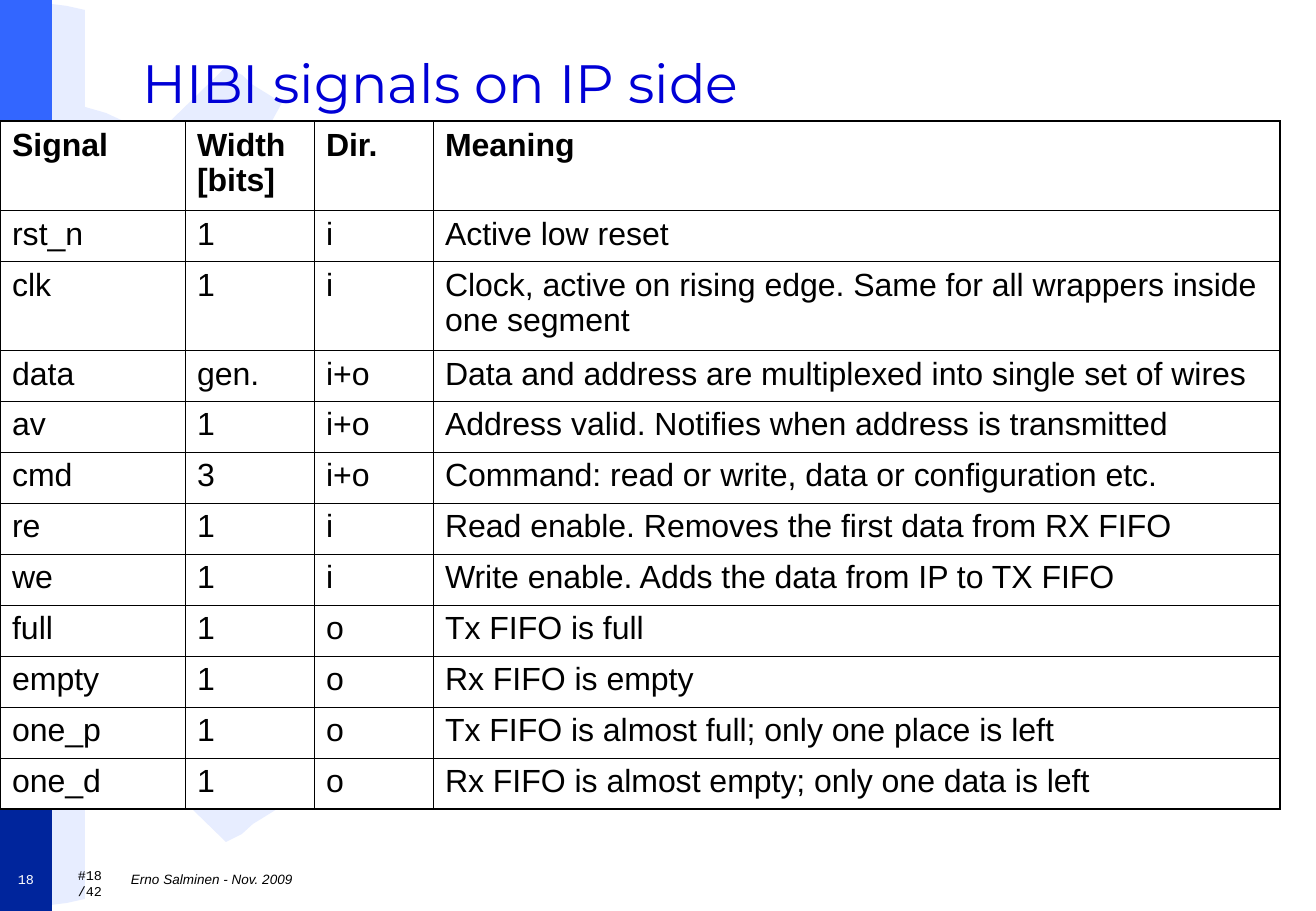
"""Build the slide that lists the HIBI signals on the IP side."""
from dataclasses import dataclass
from typing import NamedTuple, Optional

import pptx
import pptx.dml.color
import pptx.enum.shapes
import pptx.enum.text
import pptx.oxml
import pptx.oxml.ns
import pptx.presentation
import pptx.shapes.autoshape
import pptx.slide
import pptx.table
import pptx.text.text
import pptx.util

EMU_PER_PX = 7532
ANCHOR = pptx.enum.text.MSO_ANCHOR
ALIGN = pptx.enum.text.PP_ALIGN


@dataclass(frozen=True)
class Theme:
    """Colours, fonts and sizes in points."""
    gear: str = "E7EDFF"
    bar_top: str = "3366FF"
    bar_middle: str = "003CFC"
    bar_bottom: str = "00259C"
    title: str = "0000D6"
    ink: str = "000000"
    paper: str = "FFFFFF"
    title_font: str = "Montserrat"
    body_font: str = "Arial"
    number_font: str = "Courier New"
    title_size: int = 32
    table_size: int = 19
    footer_size: int = 8
    outer_border: float = 1.08
    inner_border: float = 0.45


THEME = Theme()


class Box(NamedTuple):
    """Position and size in px."""
    left: int
    top: int
    width: int
    height: int


class Bar(NamedTuple):
    """Coloured part of the left edge."""
    box: Box
    color: str


class Label(NamedTuple):
    """Small text at the foot of the slide."""
    box: Box
    text: str
    font: str
    color: str
    align: ALIGN
    italic: bool
    wrap: bool


class Signal(NamedTuple):
    """Row of the signal table."""
    name: str
    width: str
    direction: str
    meaning: str
    height: int = 51


SLIDE_SIZE = (1316, 911)
TITLE_BOX = Box(130, 44, 1150, 76)
TABLE_CORNER = (0, 121)
COLUMN_WIDTHS = (185, 129, 119, 847)
TALL_ROW = 89
GEAR_HEIGHT = 909
GEAR_UPPER_HALF = (
    (0, 363), (210, 363), (203, 347), (194, 335), (188, 320), (178, 307), (169, 294),
    (158, 284), (144, 274), (135, 262), (121, 254), (108, 244), (95, 238), (79, 232),
    (66, 226), (51, 220), (34, 219), (17, 214), (17, 0), (35, 1), (51, 4), (67, 6),
    (85, 10), (85, 107), (106, 113), (121, 120), (138, 126), (155, 136), (226, 67),
    (242, 75), (253, 85), (266, 93), (282, 103), (233, 191), (250, 205), (261, 219),
    (273, 233), (287, 249), (381, 219), (388, 233), (397, 248), (404, 260), (410, 276),
    (331, 331), (334, 353), (341, 370), (344, 388), (347, 405), (446, 421), (449, 436),
)
BARS = (
    Bar(Box(0, 0, 52, 370), THEME.bar_top),
    Bar(Box(0, 541, 52, 370), THEME.bar_bottom),
    Bar(Box(0, 363, 52, 181), THEME.bar_middle),
)
PAGE_LABELS = (
    Label(Box(64, 867, 52, 32), "#18/42", THEME.number_font, THEME.ink, ALIGN.CENTER, False, False),
    Label(Box(0, 863, 52, 32), "18", THEME.number_font, THEME.paper, ALIGN.CENTER, False, False),
)
AUTHOR_LABEL = Label(Box(119, 863, 1140, 32), "Erno Salminen - Nov. 2009",
                     THEME.body_font, THEME.ink, ALIGN.LEFT, True, True)
SIGNALS = (
    Signal("Signal", "Width [bits]", "Dir.", "Meaning", TALL_ROW),
    Signal("rst_n", "1", "i", "Active low reset"),
    Signal("clk", "1", "i",
           "Clock, active on rising edge. Same for all wrappers inside one segment", TALL_ROW),
    Signal("data", "gen.", "i+o", "Data and address are multiplexed into single set of wires"),
    Signal("av", "1", "i+o", "Address valid. Notifies when address is transmitted"),
    Signal("cmd", "3", "i+o", "Command: read or write, data or configuration etc."),
    Signal("re", "1", "i", "Read enable. Removes the first data from RX FIFO"),
    Signal("we", "1", "i", "Write enable. Adds the data from IP to TX FIFO"),
    Signal("full", "1", "o", "Tx FIFO is full"),
    Signal("empty", "1", "o", "Rx FIFO is empty"),
    Signal("one_p", "1", "o", "Tx FIFO is almost full; only one place is left"),
    Signal("one_d", "1", "o", "Rx FIFO is almost empty; only one data is left"),
)


def px(length: int) -> pptx.util.Emu:
    """Turn px into EMU."""
    return pptx.util.Emu(length * EMU_PER_PX)


def rgb(color: str) -> pptx.dml.color.RGBColor:
    """Turn a hex string into a colour."""
    return pptx.dml.color.RGBColor.from_string(color)


def write_text(frame: pptx.text.text.TextFrame, text: str, *, size: int, font: str, color: str,
               bold: bool = False, italic: bool = False, align: ALIGN = ALIGN.LEFT,
               anchor: Optional[ANCHOR] = None, wrap: bool = True) -> None:
    """Fill a text frame with one formatted paragraph."""
    frame.word_wrap = wrap
    frame.vertical_anchor = anchor
    paragraph = frame.paragraphs[0]
    paragraph.alignment = align
    run = paragraph.add_run()
    run.text = text
    run.font.size = pptx.util.Pt(size)
    run.font.name = font
    run.font.bold = bold
    run.font.italic = italic
    run.font.color.rgb = rgb(color)


def paint(shape: pptx.shapes.autoshape.Shape, color: str) -> None:
    """Give a shape a plain fill without line or shadow."""
    shape.shadow.inherit = False
    shape.fill.solid()
    shape.fill.fore_color.rgb = rgb(color)
    shape.line.fill.background()


def draw_gear(slide: pptx.slide.Slide) -> None:
    """Draw the gear from its upper half and the mirrored lower half."""
    lower_half = [(x, GEAR_HEIGHT - y) for x, y in reversed(GEAR_UPPER_HALF)]
    builder = slide.shapes.build_freeform(*GEAR_UPPER_HALF[0], scale=float(EMU_PER_PX))
    builder.add_line_segments([*GEAR_UPPER_HALF[1:], *lower_half], close=True)
    paint(builder.convert_to_shape(), THEME.gear)


def draw_bar(slide: pptx.slide.Slide, bar: Bar) -> None:
    """Draw one part of the left edge."""
    rectangle = pptx.enum.shapes.MSO_SHAPE.RECTANGLE
    paint(slide.shapes.add_shape(rectangle, *map(px, bar.box)), bar.color)


def draw_label(slide: pptx.slide.Slide, label: Label) -> None:
    """Draw one footer text."""
    frame = slide.shapes.add_textbox(*map(px, label.box)).text_frame
    write_text(frame, label.text, size=THEME.footer_size, font=label.font, color=label.color,
               italic=label.italic, align=label.align, anchor=ANCHOR.MIDDLE, wrap=label.wrap)


def draw_title(slide: pptx.slide.Slide, text: str) -> None:
    """Place the title in front of the decoration."""
    title = slide.shapes.title
    title.element.getparent().append(title.element)
    title.left, title.top, title.width, title.height = map(px, TITLE_BOX)
    write_text(title.text_frame, text, size=THEME.title_size, font=THEME.title_font,
               color=THEME.title, anchor=ANCHOR.BOTTOM)
    title.text_frame.auto_size = pptx.enum.text.MSO_AUTO_SIZE.NONE


def format_cell(cell: pptx.table._Cell, outer_sides: dict[str, bool]) -> None:
    """Set the borders and fill of a cell."""
    properties = cell._tc.get_or_add_tcPr()
    for side, outer in outer_sides.items():
        width = pptx.util.Pt(THEME.outer_border if outer else THEME.inner_border)
        properties.append(pptx.oxml.parse_xml(
            f'<a:ln{side} {pptx.oxml.ns.nsdecls("a")} w="{width}"><a:solidFill>'
            f'<a:srgbClr val="{THEME.ink}"/></a:solidFill></a:ln{side}>'))
    cell.fill.solid()
    cell.fill.fore_color.rgb = rgb(THEME.paper)


def draw_table(slide: pptx.slide.Slide) -> None:
    """Draw the signal table."""
    size = (sum(COLUMN_WIDTHS), sum(signal.height for signal in SIGNALS))
    last_row, last_column = len(SIGNALS) - 1, len(COLUMN_WIDTHS) - 1
    table = slide.shapes.add_table(last_row + 1, last_column + 1,
                                   *map(px, TABLE_CORNER + size)).table
    table.first_row = table.horz_banding = False
    for column, width in zip(table.columns, COLUMN_WIDTHS):
        column.width = px(width)
    for row, signal in enumerate(SIGNALS):
        table.rows[row].height = px(signal.height)
        for column, text in enumerate(signal[:last_column + 1]):
            cell = table.cell(row, column)
            format_cell(cell, {"L": column == 0, "R": column == last_column,
                               "T": row == 0, "B": row == last_row})
            write_text(cell.text_frame, text, size=THEME.table_size, font=THEME.body_font,
                       color=THEME.ink, bold=row == 0)


def main() -> None:
    """Build and save the presentation."""
    presentation = pptx.Presentation()
    presentation.slide_width, presentation.slide_height = map(px, SLIDE_SIZE)
    slide = presentation.slides.add_slide(presentation.slide_layouts.get_by_name("Title Only"))
    draw_gear(slide)
    for bar in BARS:
        draw_bar(slide, bar)
    for label in PAGE_LABELS:
        draw_label(slide, label)
    draw_title(slide, "HIBI signals on IP side")
    draw_table(slide)
    draw_label(slide, AUTHOR_LABEL)
    presentation.save("out.pptx")


if __name__ == "__main__":
    main()
